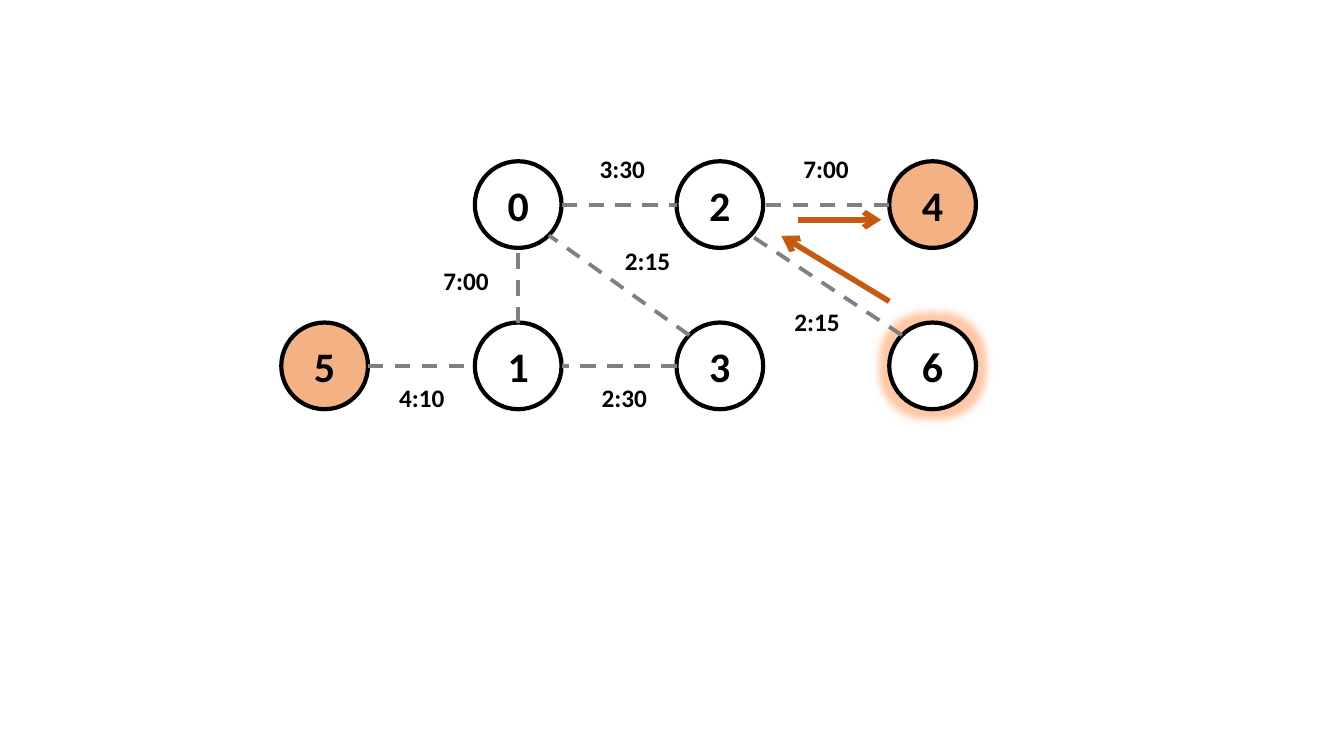
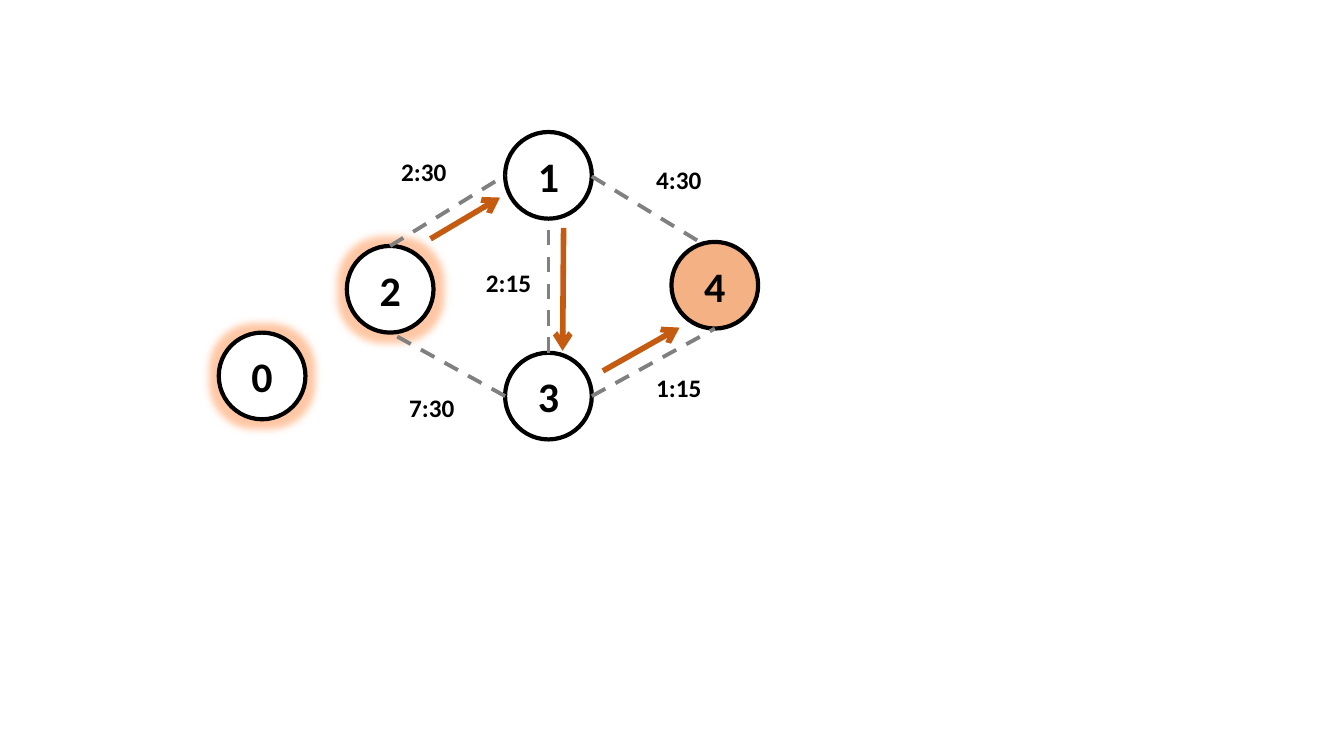
import math

from lxml import etree
from pptx import Presentation
from pptx.dml.color import RGBColor
from pptx.enum.dml import MSO_LINE
from pptx.enum.shapes import MSO_CONNECTOR, MSO_SHAPE
from pptx.enum.text import MSO_ANCHOR, MSO_AUTO_SIZE, PP_ALIGN
from pptx.oxml.ns import qn
from pptx.util import Inches, Pt

ELLIPSE = MSO_SHAPE.OVAL
STRAIGHT = MSO_CONNECTOR.STRAIGHT
DASH = MSO_LINE.DASH
MIDDLE = MSO_ANCHOR.MIDDLE
CENTER = PP_ALIGN.CENTER
GROW = MSO_AUTO_SIZE.SHAPE_TO_FIT_TEXT

BLACK = RGBColor(0x00, 0x00, 0x00)
WHITE = RGBColor(0xFF, 0xFF, 0xFF)
GRAY = RGBColor(0x80, 0x80, 0x80)
PEACH = RGBColor(0xF4, 0xB1, 0x83)
RUST = RGBColor(0xC5, 0x5A, 0x11)
GLOW = RGBColor(0xFF, 0x75, 0x1E)

FONT = "Calibri"
NODE = 0.86
TOP, TOP_LEFT, LEFT, BOTTOM_LEFT, BOTTOM, BOTTOM_RIGHT, RIGHT, TOP_RIGHT = range(8)

GRAPHS = [
    {
        "nodes": {
            "0": (4.71, 1.6), "2": (6.71, 1.6), "4": (8.82, 1.6),
            "5": (2.79, 3.2), "1": (4.71, 3.2), "3": (6.71, 3.2), "6": (8.82, 3.2),
        },
        "filled": "45",
        "glowing": "6",
        "edges": [
            ("5", RIGHT, "1", LEFT),
            ("1", TOP, "0", BOTTOM),
            ("3", LEFT, "1", RIGHT),
            ("0", RIGHT, "2", LEFT),
            ("4", LEFT, "2", RIGHT),
            ("3", TOP_LEFT, "0", BOTTOM_RIGHT),
            ("6", TOP_LEFT, "2", BOTTOM_RIGHT),
        ],
        "loose_edges": [],
        "times": [
            ("4:10", 3.86, 3.74), ("2:30", 5.87, 3.74), ("7:00", 4.3, 2.58),
            ("2:15", 6.1, 2.38), ("3:30", 5.85, 1.47), ("7:00", 7.87, 1.47),
            ("2:15", 7.78, 2.99),
        ],
        "arrows": [((8.82, 2.99), (7.75, 2.34)), ((7.91, 2.18), (8.74, 2.18))],
    },
    {
        "nodes": {
            "2": (3.44, 2.44), "3": (5.01, 3.5), "1": (5.01, 1.31),
            "4": (6.66, 2.4), "0": (2.17, 3.3),
        },
        "filled": "4",
        "glowing": "02",
        "edges": [
            ("2", TOP, "1", LEFT),
            ("3", LEFT, "2", BOTTOM),
            ("3", TOP, "1", BOTTOM),
            ("3", RIGHT, "4", BOTTOM),
        ],
        "loose_edges": [((5.87, 1.75), (6.94, 2.4))],
        "times": [
            ("2:30", 3.88, 1.5), ("1:15", 6.41, 3.64), ("4:30", 6.41, 1.58),
            ("7:30", 3.96, 3.84), ("2:15", 4.72, 2.6),
        ],
        "arrows": [
            ((4.27, 2.37), (4.96, 1.96)),
            ((5.59, 2.26), (5.58, 3.48)),
            ((5.98, 3.68), (6.74, 3.25)),
        ],
    },
]


def add_line(slide, start, end, color, width):
    points = [Inches(v) for v in (*start, *end)]
    line = slide.shapes.add_connector(STRAIGHT, *points)
    line.line.color.rgb = color
    line.line.width = Pt(width)
    if color == GRAY:
        line.line.dash_style = DASH
    else:
        etree.SubElement(line.line._get_or_add_ln(), qn("a:tailEnd"), type="arrow")
    etree.SubElement(line._element.spPr, qn("a:effectLst"))
    return line


def set_text(sp, text, size):
    p = sp.text_frame.paragraphs[0]
    p.text = text
    p.font.name = FONT
    p.font.size = Pt(size)
    p.font.bold = True
    p.font.color.rgb = BLACK
    return p


prs = Presentation()
prs.slide_width = Inches(13.33)
prs.slide_height = Inches(7.5)

for graph in GRAPHS:
    slide = prs.slides.add_slide(prs.slide_layouts[6])

    circles = {}
    for name, (x, y) in graph["nodes"].items():
        sp = slide.shapes.add_shape(ELLIPSE, Inches(x), Inches(y), Inches(NODE), Inches(NODE))
        sp.shadow.inherit = False
        sp.fill.solid()
        sp.fill.fore_color.rgb = PEACH if name in graph["filled"] else WHITE
        sp.line.color.rgb = BLACK
        sp.line.width = Pt(3)
        sp.text_frame.vertical_anchor = MIDDLE
        set_text(sp, name, 30).alignment = CENTER
        if name in graph["glowing"]:
            effects = sp._element.spPr.find(qn("a:effectLst"))
            glow = etree.SubElement(effects, qn("a:glow"), rad=str(Pt(11)))
            color = etree.SubElement(glow, qn("a:srgbClr"), val=str(GLOW))
            etree.SubElement(color, qn("a:alpha"), val="40000")
        circles[name] = sp

    for start, start_site, end, end_site in graph["edges"]:
        points = []
        for name, site in ((start, start_site), (end, end_site)):
            x, y = graph["nodes"][name]
            angle = math.radians(90 + 45 * site)
            points.append((x + NODE / 2 * (1 + math.cos(angle)),
                           y + NODE / 2 * (1 - math.sin(angle))))
        edge = add_line(slide, *points, GRAY, 2.75)
        joints = edge._element.nvCxnSpPr.cNvCxnSpPr
        for tag, name, site in (("a:stCxn", start, start_site), ("a:endCxn", end, end_site)):
            etree.SubElement(joints, qn(tag), id=str(circles[name].shape_id), idx=str(site))

    for start, end in graph["loose_edges"]:
        add_line(slide, start, end, GRAY, 2.75)

    for time, x, y in graph["times"]:
        box = slide.shapes.add_textbox(Inches(x), Inches(y), Inches(0.84), Inches(0.4))
        box.text_frame.word_wrap = True
        box.text_frame.auto_size = GROW
        set_text(box, time, 18)

    for start, end in graph["arrows"]:
        add_line(slide, start, end, RUST, 4)

prs.save("out.pptx")
